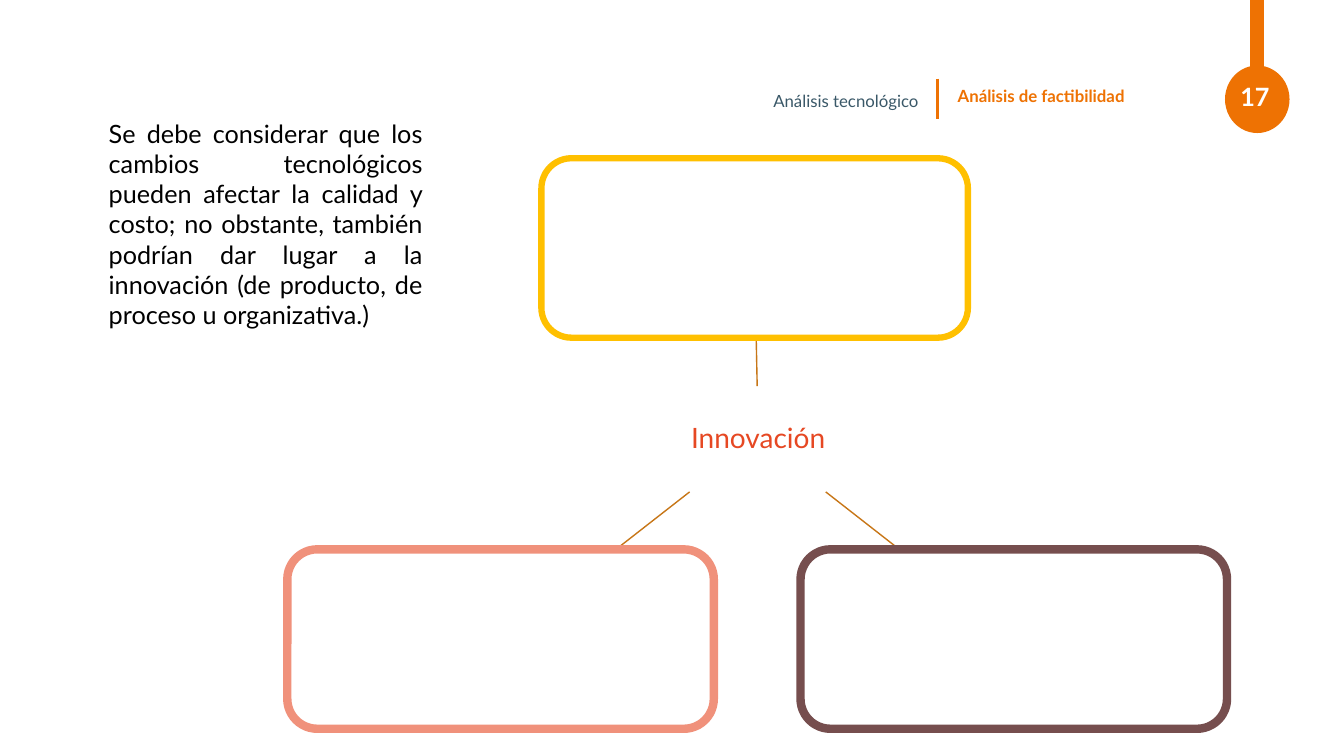
import pptx
import pptx.util
import pptx.dml.color
import pptx.enum.shapes
import pptx.enum.text
import pptx.oxml.ns
import lxml.etree

Inches = pptx.util.Inches
Pt = pptx.util.Pt
Align = pptx.enum.text.PP_ALIGN
Anchor = pptx.enum.text.MSO_ANCHOR
Preset = pptx.enum.shapes.MSO_SHAPE

FONT = "Lato"
COLORS = {
    "orange": "EE7203",
    "slate": "3A5868",
    "white": "FFFFFF",
    "black": "000000",
    "red": "E64823",
    "link": "C77617",
    "yellow": "FFC000",
    "brown": "764E4E",
    "salmon": "F0917B",
}
BOX_WIDTH, BOX_HEIGHT = 4.23, 1.78


def color(name):
    return pptx.dml.color.RGBColor.from_string(COLORS[name])


def add_preset(slide, preset, left, top, width, height, fill, line=None, line_width=0):
    shape = slide.shapes.add_shape(
        preset, Inches(left), Inches(top), Inches(width), Inches(height))
    shape.shadow.inherit = False
    shape.fill.solid()
    shape.fill.fore_color.rgb = color(fill)
    if line:
        shape.line.color.rgb = color(line)
        shape.line.width = Pt(line_width)
    else:
        shape.line.fill.background()
    return shape


def add_line(slide, start, end, line, line_width):
    connector = slide.shapes.add_connector(
        pptx.enum.shapes.MSO_CONNECTOR.STRAIGHT,
        Inches(start[0]), Inches(start[1]), Inches(end[0]), Inches(end[1]))
    connector.line.color.rgb = color(line)
    connector.line.width = Pt(line_width)
    properties = connector._element.spPr
    lxml.etree.SubElement(properties, pptx.oxml.ns.qn("a:effectLst"))


def add_text(slide, text, left, top, width, height, size, ink,
             align=Align.LEFT, anchor=Anchor.MIDDLE, bold=False):
    box = slide.shapes.add_textbox(
        Inches(left), Inches(top), Inches(width), Inches(height))
    text_frame = box.text_frame
    text_frame.word_wrap = True
    text_frame.vertical_anchor = anchor
    text_frame.text = text
    paragraph = text_frame.paragraphs[0]
    paragraph.alignment = align
    font = paragraph.runs[0].font
    font.name = FONT
    font.size = Pt(size)
    font.bold = bold
    font.color.rgb = color(ink)
    return paragraph


def add_header(slide):
    # Page number badge
    add_preset(slide, Preset.OVAL, 12.15, 0.65, 0.64, 0.67, "orange")
    add_line(slide, (12.47, 0.85), (12.47, 0), "orange", 10)
    add_text(slide, "17", 12.15, 0.8, 0.54, 0.32, 18, "white", Align.RIGHT, bold=True)

    # Topic and section titles
    add_line(slide, (9.3, 0.78), (9.3, 1.18), "orange", 2.25)
    topic = add_text(slide, "Análisis tecnológico", 4.88, 0.75, 4.33, 0.39,
                     12, "slate", Align.RIGHT)
    topic.line_spacing = 1.5
    topic.space_before = Pt(10)
    add_text(slide, "Análisis de factibilidad", 9.4, 0.76, 2.68, 0.39,
             12, "orange", bold=True)


def add_diagram(slide):
    # Central idea
    add_preset(slide, Preset.ROUNDED_RECTANGLE, 6.64, 3.83, 1.74, 1.05, "white")
    center = add_text(slide, "Innovación", 6.7, 3.88, 1.64, 0.95,
                      20, "red", Align.CENTER)
    center.line_spacing = 0.9

    # Links and empty boxes around it
    branches = [
        ((7.51, 3.83), (7.5, 3.35), (5.37, 1.57), "yellow", 4.5),
        ((8.19, 4.88), (8.92, 5.45), (7.94, 5.45), "brown", 6),
        ((6.84, 4.88), (6.11, 5.45), (2.85, 5.45), "salmon", 6),
    ]
    for start, end, (left, top), outline, outline_width in branches:
        add_line(slide, start, end, "link", 1)
        add_preset(slide, Preset.ROUNDED_RECTANGLE, left, top,
                   BOX_WIDTH, BOX_HEIGHT, "white", outline, outline_width)


def main():
    presentation = pptx.Presentation()
    presentation.slide_width = Inches(13.33)
    presentation.slide_height = Inches(7.5)
    slide = presentation.slides.add_slide(presentation.slide_layouts[6])

    add_header(slide)
    add_diagram(slide)

    # Explanation
    add_text(slide,
             "Se debe considerar que los cambios tecnológicos pueden afectar la "
             "calidad y costo; no obstante, también podrían dar lugar a la "
             "innovación (de producto, de proceso u organizativa.)",
             0.98, 1.12, 3.31, 2.22, 18, "black", Align.JUSTIFY, Anchor.TOP)

    presentation.save("out.pptx")


if __name__ == "__main__":
    main()
